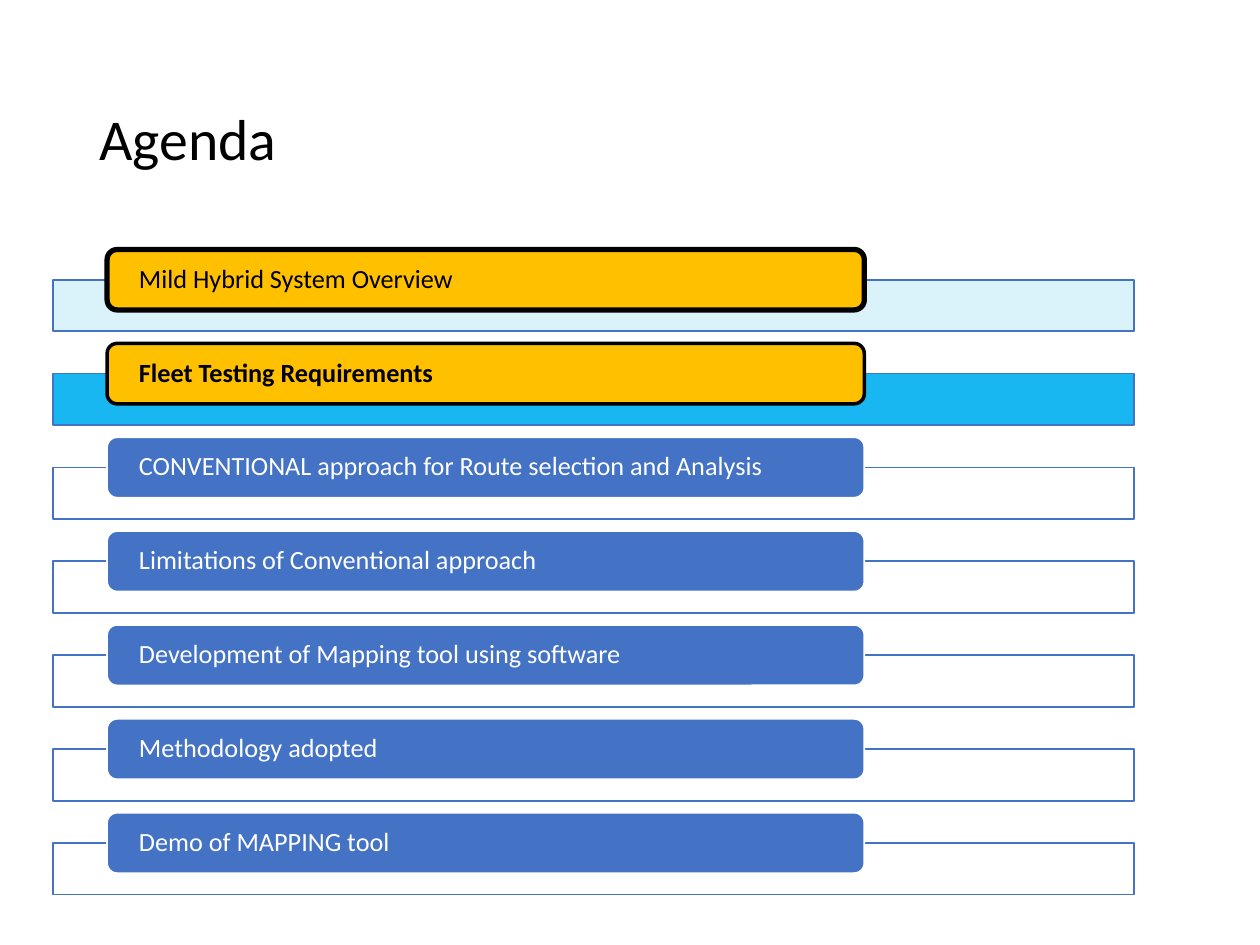
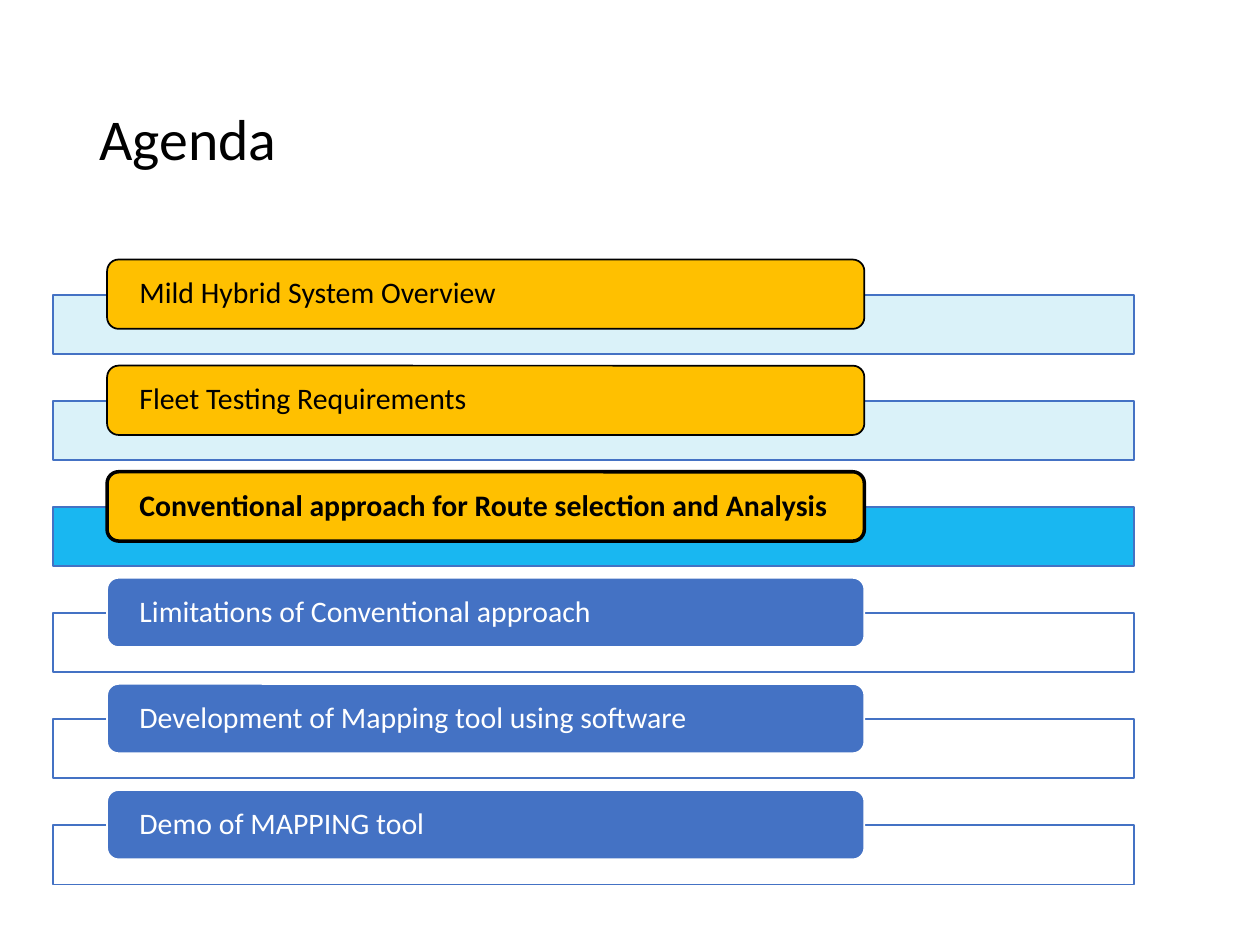
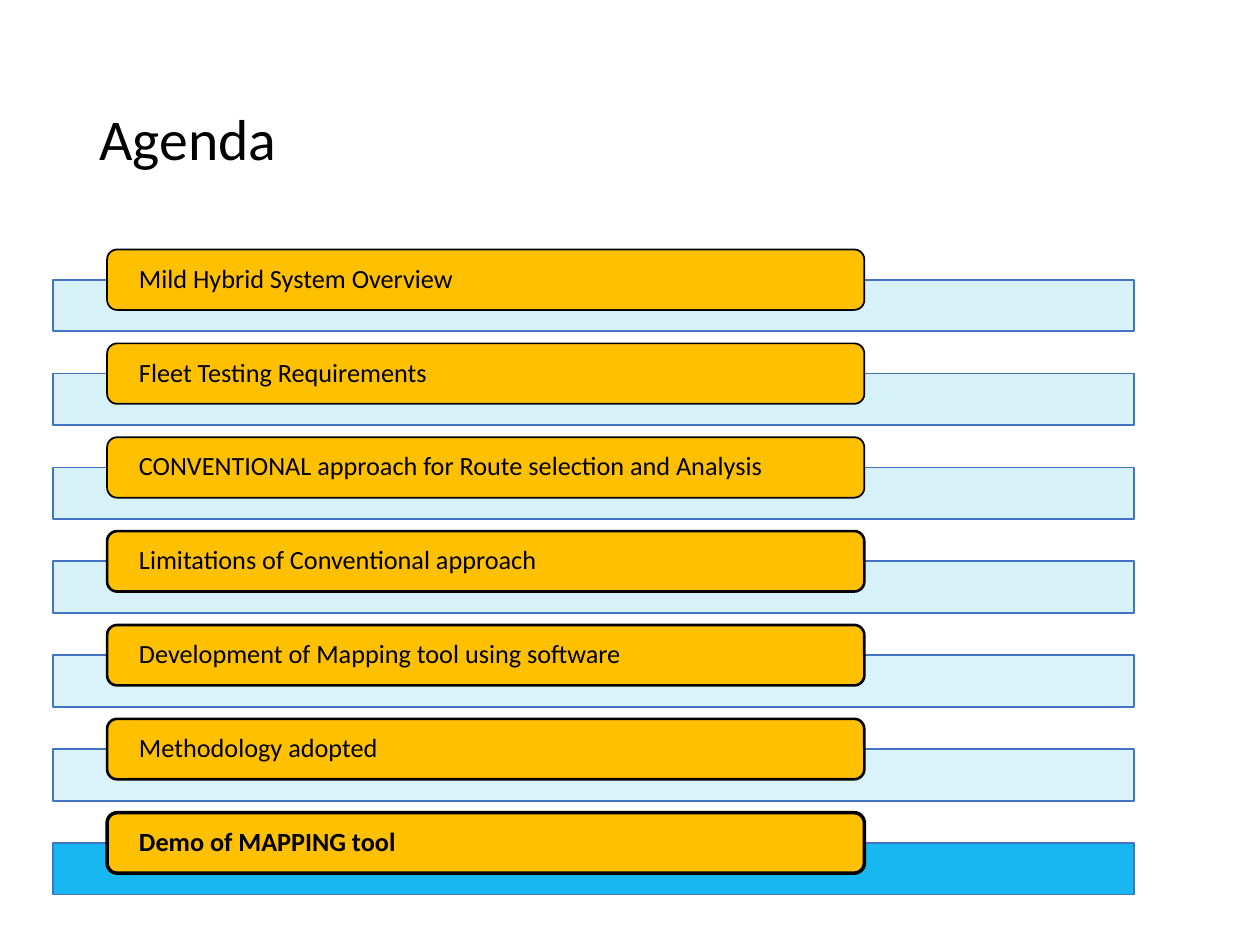
import pptx
import pptx.util
import pptx.dml.color
import pptx.enum.shapes
import pptx.enum.text
import pptx.oxml.ns
import lxml.etree

Inches = pptx.util.Inches
Pt = pptx.util.Pt
MIDDLE = pptx.enum.text.MSO_ANCHOR.MIDDLE
LEFT = pptx.enum.text.PP_ALIGN.LEFT
RECT = pptx.enum.shapes.MSO_SHAPE.RECTANGLE
ROUNDED = pptx.enum.shapes.MSO_SHAPE.ROUNDED_RECTANGLE

BLACK, WHITE, BLUE = "000000", "FFFFFF", "4472C4"
GOLD, PALE, CYAN = "FFC000", "D7F1F9", "00B0F0"

overview = "Mild Hybrid System Overview"
fleet = "Fleet Testing Requirements"
conventional = "approach for Route selection and Analysis"
limits = "Limitations of Conventional approach"
mapping = "Development of Mapping tool using software"
method = "Methodology adopted"
demo = "Demo of MAPPING tool"

long_topics = [overview, fleet, "CONVENTIONAL " + conventional, limits, mapping, method, demo]
short_topics = [overview, fleet, "Conventional " + conventional, limits, mapping, demo]

seven_rows = {"size": 15, "bar_top": 2.22, "bar_last": 6.69, "bar_h": 0.41,
              "label_top": 1.98, "label_h": 0.48}
six_rows = {"size": 17, "bar_top": 2.34, "bar_last": 6.55, "bar_h": 0.47,
            "label_top": 2.06, "label_h": 0.55}

agendas = [
    (long_topics, seven_rows, [3, 2], 0),
    (short_topics, six_rows, [1, 1, 2], 0),
    (long_topics, seven_rows, [1, 1, 1, 1.5, 1.5, 1.5, 2], 4),
]


def rgb(value):
    return pptx.dml.color.RGBColor.from_string(value)


def add_box(s, kind, left, top, width, height, fill, line, weight):
    sp = s.shapes.add_shape(kind, Inches(left), Inches(top), Inches(width), Inches(height))
    sp.shadow.inherit = False
    sp.fill.solid()
    sp.fill.fore_color.rgb = rgb(fill)
    sp.line.color.rgb = rgb(line)
    sp.line.width = Pt(weight)
    return sp


prs = pptx.Presentation()
prs.slide_width = Inches(10)
prs.slide_height = Inches(7.5)

for topics, grid, outlines, opaque_bars in agendas:
    s = prs.slides.add_slide(prs.slide_layouts[6])
    title = s.shapes.add_textbox(Inches(0.69), Inches(0.4), Inches(8.62), Inches(1.45))
    tf = title.text_frame
    tf.word_wrap = True
    tf.vertical_anchor = MIDDLE
    p = tf.paragraphs[0]
    p.line_spacing = 0.9
    r = p.add_run()
    r.text = "Agenda"
    r.font.name = "Calibri"
    r.font.size = Pt(33)
    r.font.color.rgb = rgb(BLACK)

    current = len(outlines) - 1
    pitch = (grid["bar_last"] - grid["bar_top"]) / (len(topics) - 1)
    for i, topic in enumerate(topics):
        if i <= current:
            bar_fill = CYAN if i == current else PALE
            label_fill, label_line, text_color, weight = GOLD, BLACK, BLACK, outlines[i]
        else:
            bar_fill = WHITE
            label_fill, label_line, text_color, weight = BLUE, WHITE, WHITE, 1

        bar = add_box(s, RECT, 0.42, grid["bar_top"] + i * pitch, 8.58, grid["bar_h"],
                      bar_fill, BLUE, 1)
        if i >= opaque_bars:
            color = bar.fill._xPr.find(".//" + pptx.oxml.ns.qn("a:srgbClr"))
            lxml.etree.SubElement(color, pptx.oxml.ns.qn("a:alpha"), val="90000")

        label = add_box(s, ROUNDED, 0.85, grid["label_top"] + i * pitch, 6.01, grid["label_h"],
                        label_fill, label_line, weight)
        tf = label.text_frame
        tf.word_wrap = True
        tf.vertical_anchor = MIDDLE
        tf.margin_left = tf.margin_right = Inches(0.23)
        tf.margin_top = tf.margin_bottom = 0
        p = tf.paragraphs[0]
        p.alignment = LEFT
        p.line_spacing = 0.9
        r = p.add_run()
        r.text = topic
        r.font.name = "Calibri"
        r.font.size = Pt(grid["size"])
        r.font.bold = i == current
        r.font.color.rgb = rgb(text_color)

prs.save("out.pptx")
